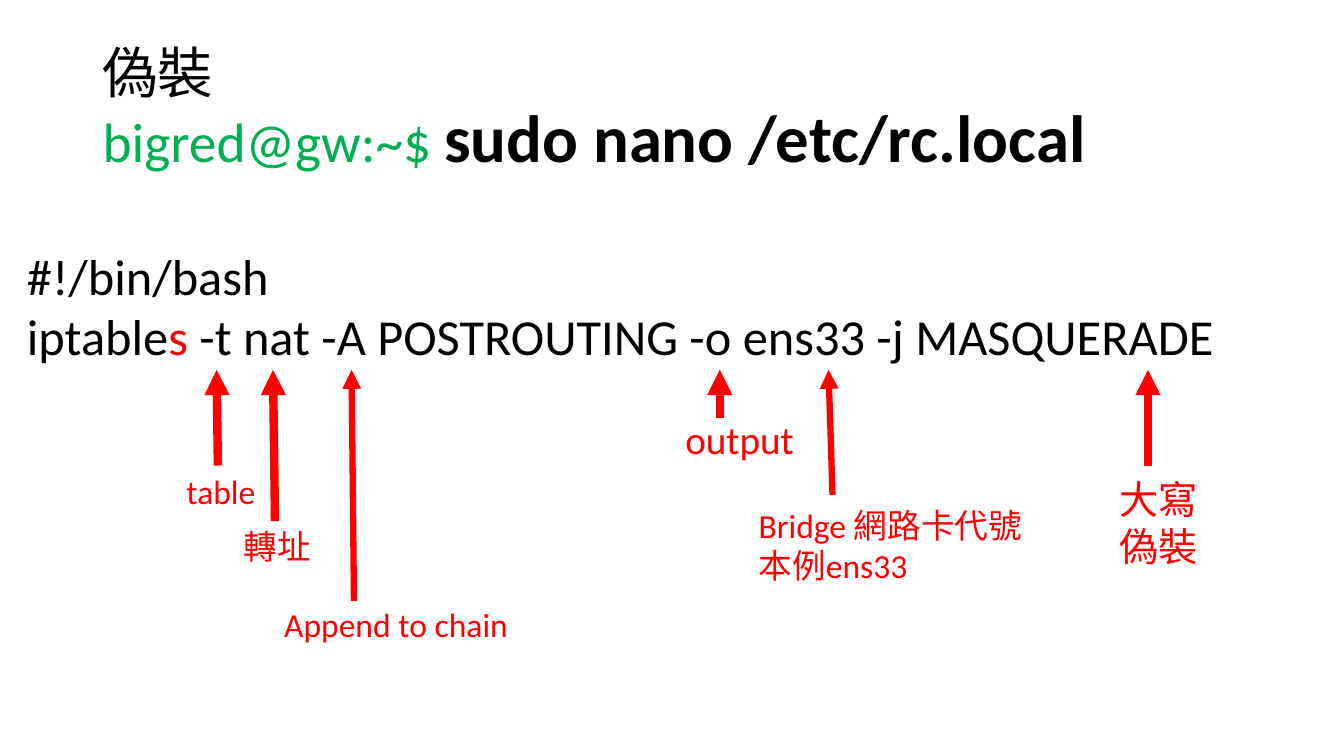
from dataclasses import dataclass

from lxml import etree
from pptx import Presentation
from pptx import util as u
from pptx.dml.color import RGBColor
from pptx.enum import shapes, text
from pptx.oxml.ns import qn

COLORS = {"black": "000000", "red": "FF0000", "green": "00B050"}
FONT = "Calibri"
ARROW_TIP = 9.32  # height in cm at which every arrow meets the command


@dataclass
class Label:
    lines: list[str]
    left: float
    top: float
    width: float
    height: float
    size: float = 24
    wrap: bool = False


@dataclass
class Arrow:
    start_x: float
    start_y: float
    tip_x: float
    weight: float = 6


LABELS = [
    Label(["大寫", "偽裝"], 27.97, 11.84, 2.51, 2.64, size=28),
    Label(["table"], 4.45, 11.73, 2.26, 1.27),
    Label(["轉址"], 5.89, 13.13, 2.24, 1.27),
    Label(["Append to chain"], 6.91, 15.09, 6.2, 1.27),
    Label(["Bridge 網路卡代號", "本例ens33"], 18.87, 12.6, 7.21, 2.31, wrap=True),
    Label(["output"], 17.02, 10.34, 3.28, 1.45, size=28),
]
ARROWS = [
    Arrow(5.49, 11.73, 5.46),
    Arrow(6.93, 13.13, 6.88),
    Arrow(8.92, 15.14, 8.86, weight=4.5),
    Arrow(20.98, 12.47, 20.88, weight=4.5),
    Arrow(28.93, 11.73, 28.93),
    Arrow(18.14, 10.54, 18.14),
]


def add_run(paragraph, content: str, *, size: float, color: str = "black",
            bold: bool = False) -> None:
    run = paragraph.add_run()
    run.text = content
    run.font.name = FONT
    run.font.size = u.Pt(size)
    run.font.bold = bold
    run.font.color.rgb = RGBColor.from_string(COLORS[color])


def add_text_frame(slide, left: float, top: float, width: float, height: float,
                   wrap: bool):
    box = slide.shapes.add_textbox(u.Cm(left), u.Cm(top), u.Cm(width), u.Cm(height))
    box.text_frame.word_wrap = wrap
    return box.text_frame


def add_title(slide) -> None:
    title = slide.shapes.title
    title.left, title.top = u.Cm(2.33), u.Cm(1.01)
    title.width, title.height = u.Cm(29.21), u.Cm(4.21)
    frame = title.text_frame
    frame.word_wrap = True
    frame.auto_size = text.MSO_AUTO_SIZE.NONE
    frame.vertical_anchor = text.MSO_ANCHOR.TOP
    paragraph = frame.paragraphs[0]
    paragraph.alignment = text.PP_ALIGN.LEFT
    paragraph.line_spacing = 0.9
    add_run(paragraph, "偽裝", size=39.6)
    paragraph.add_line_break()
    add_run(paragraph, "bigred@gw:~$ ", size=39.6, color="green")
    add_run(paragraph, "sudo nano /etc/rc.local", size=47.7, bold=True)


def add_script(slide) -> None:
    frame = add_text_frame(slide, 0.43, 6.05, 31.72, 4.88, wrap=True)
    add_run(frame.paragraphs[0], "#!/bin/bash", size=36)
    command = frame.add_paragraph()
    add_run(command, "iptable", size=36)
    add_run(command, "s", size=36, color="red")
    add_run(command, " -t nat -A POSTROUTING -o ens33 -j MASQUERADE", size=36)


def add_label(slide, label: Label) -> None:
    frame = add_text_frame(slide, label.left, label.top, label.width, label.height,
                           label.wrap)
    for index, line in enumerate(label.lines):
        paragraph = frame.add_paragraph() if index else frame.paragraphs[0]
        add_run(paragraph, line, size=label.size, color="red")


def add_arrow(slide, arrow: Arrow) -> None:
    connector = slide.shapes.add_connector(
        shapes.MSO_CONNECTOR.STRAIGHT, u.Cm(arrow.start_x), u.Cm(arrow.start_y),
        u.Cm(arrow.tip_x), u.Cm(ARROW_TIP))
    connector.line.width = u.Pt(arrow.weight)
    connector.line.color.rgb = RGBColor.from_string(COLORS["red"])
    # Arrowhead at the tip, and no shadow
    properties = connector.element.spPr
    etree.SubElement(properties.find(qn("a:ln")), qn("a:tailEnd"), type="triangle")
    etree.SubElement(properties, qn("a:effectLst"))


def main() -> None:
    presentation = Presentation()
    presentation.slide_width, presentation.slide_height = u.Cm(33.87), u.Cm(19.05)
    slide = presentation.slides.add_slide(presentation.slide_layouts[5])

    # Title and script
    add_title(slide)
    add_script(slide)

    # Explanations with arrows to the command's parts
    for arrow in ARROWS:
        add_arrow(slide, arrow)
    for label in LABELS:
        add_label(slide, label)

    presentation.save("out.pptx")


if __name__ == "__main__":
    main()
